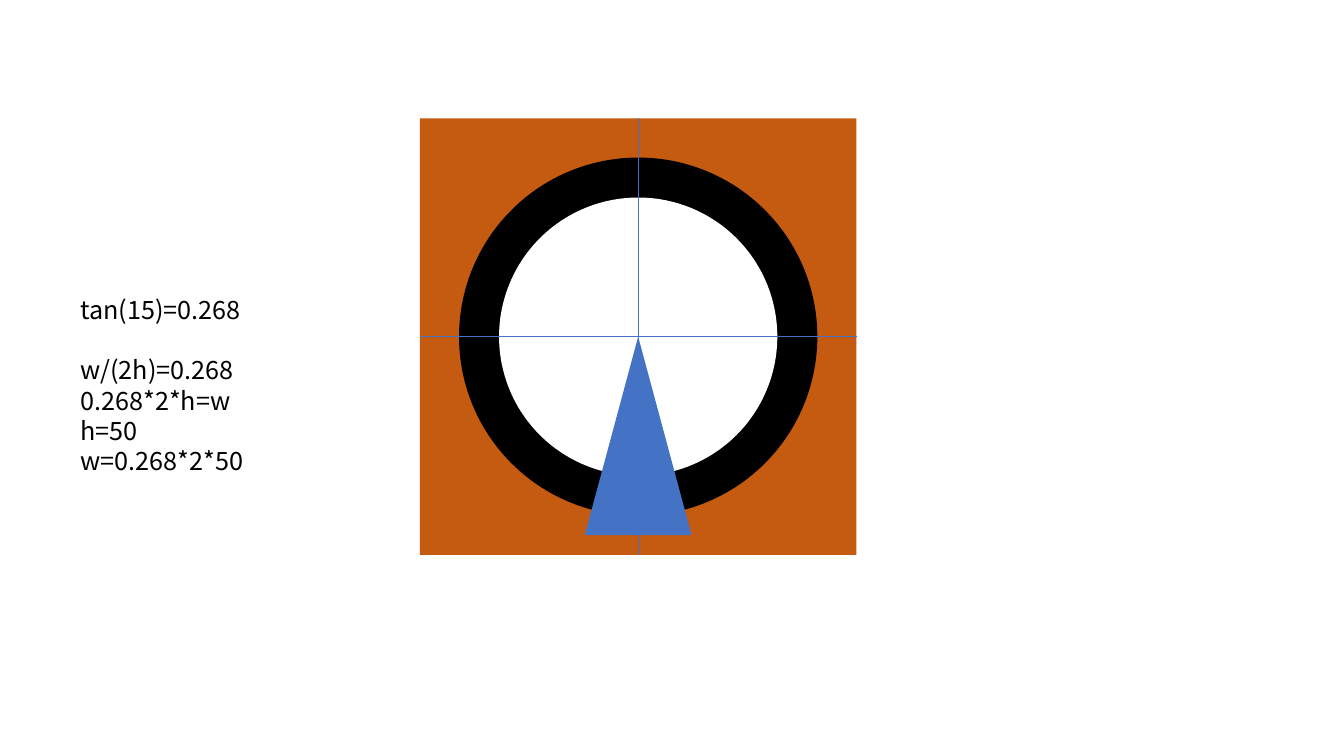
from lxml.etree import SubElement
from pptx import Presentation
from pptx.dml.color import RGBColor
from pptx.enum.shapes import MSO_CONNECTOR as Link, MSO_SHAPE as Kind
from pptx.enum.text import MSO_AUTO_SIZE as Fit
from pptx.oxml.ns import qn
from pptx.util import Inches, Pt

FONT = "Noto Sans CJK SC"
BLACK, WHITE, BLUE, RUST = "000000", "FFFFFF", "4472C4", "C55A11"
MID_X, MID_Y = 6.33, 3.34
SIDE = 4.33
PITCH = 21.6
NOTES = ["tan(15)=0.268", "w/(2h)=0.268", "0.268*2*h=w", "h=50", "w=0.268*2*50"]


def color(code):
    return RGBColor.from_string(code)


def add_form(slide, kind, top, width, height, fill, edge=None):
    """Add a filled shape centred on the vertical axis."""
    form = slide.shapes.add_shape(kind, Inches(MID_X - width / 2), Inches(top),
                                  Inches(width), Inches(height))
    form.shadow.inherit = False
    form.fill.solid()
    form.fill.fore_color.rgb = color(fill)
    if edge:
        form.line.color.rgb = color(edge)
        form.line.width = Pt(1)
    else:
        form.line.fill.background()


def add_round(slide, kind, size, fill, edge=None):
    """Add a shape of equal sides centred on the axes."""
    add_form(slide, kind, MID_Y - size / 2, size, size, fill, edge)


def add_axis(slide, x1, y1, x2, y2):
    axis = slide.shapes.add_connector(Link.STRAIGHT, Inches(x1), Inches(y1),
                                      Inches(x2), Inches(y2))
    axis.line.color.rgb = color(BLUE)
    axis.line.width = Pt(0.5)
    SubElement(axis._element.spPr, qn("a:effectLst"))


def add_notes(slide, left, top, width, height, lines):
    box = slide.shapes.add_textbox(Inches(left), Inches(top),
                                   Inches(width), Inches(height))
    frame = box.text_frame
    frame.word_wrap = True
    frame.auto_size = Fit.SHAPE_TO_FIT_TEXT
    for i, line in enumerate(lines):
        para = frame.add_paragraph() if i else frame.paragraphs[0]
        para.line_spacing = Pt(PITCH)
        # One line of space sets the tangent apart from the working
        para.space_after = Pt(0 if i else PITCH)
        run = para.add_run()
        run.text = line
        run.font.name = FONT
        run.font.size = Pt(18)
        run.font.color.rgb = color(BLACK)


def main():
    deck = Presentation()
    deck.slide_width, deck.slide_height = Inches(13.33), Inches(7.5)
    slide = deck.slides.add_slide(deck.slide_layouts[6])

    # Plate, ring and wedge
    add_round(slide, Kind.RECTANGLE, SIDE, RUST)
    add_round(slide, Kind.OVAL, 3.54, BLACK, BLACK)
    add_round(slide, Kind.OVAL, 2.76, WHITE)
    add_form(slide, Kind.ISOSCELES_TRIANGLE, MID_Y, 1.06, 1.97, BLUE)

    # Centre lines
    half = SIDE / 2
    add_axis(slide, MID_X - half, MID_Y, MID_X + half, MID_Y)
    add_axis(slide, MID_X, MID_Y - half, MID_X, MID_Y + half)

    # Working for the wedge width
    add_notes(slide, 0.7, 2.87, 2.11, 1.97, NOTES)

    deck.save("out.pptx")


if __name__ == "__main__":
    main()
